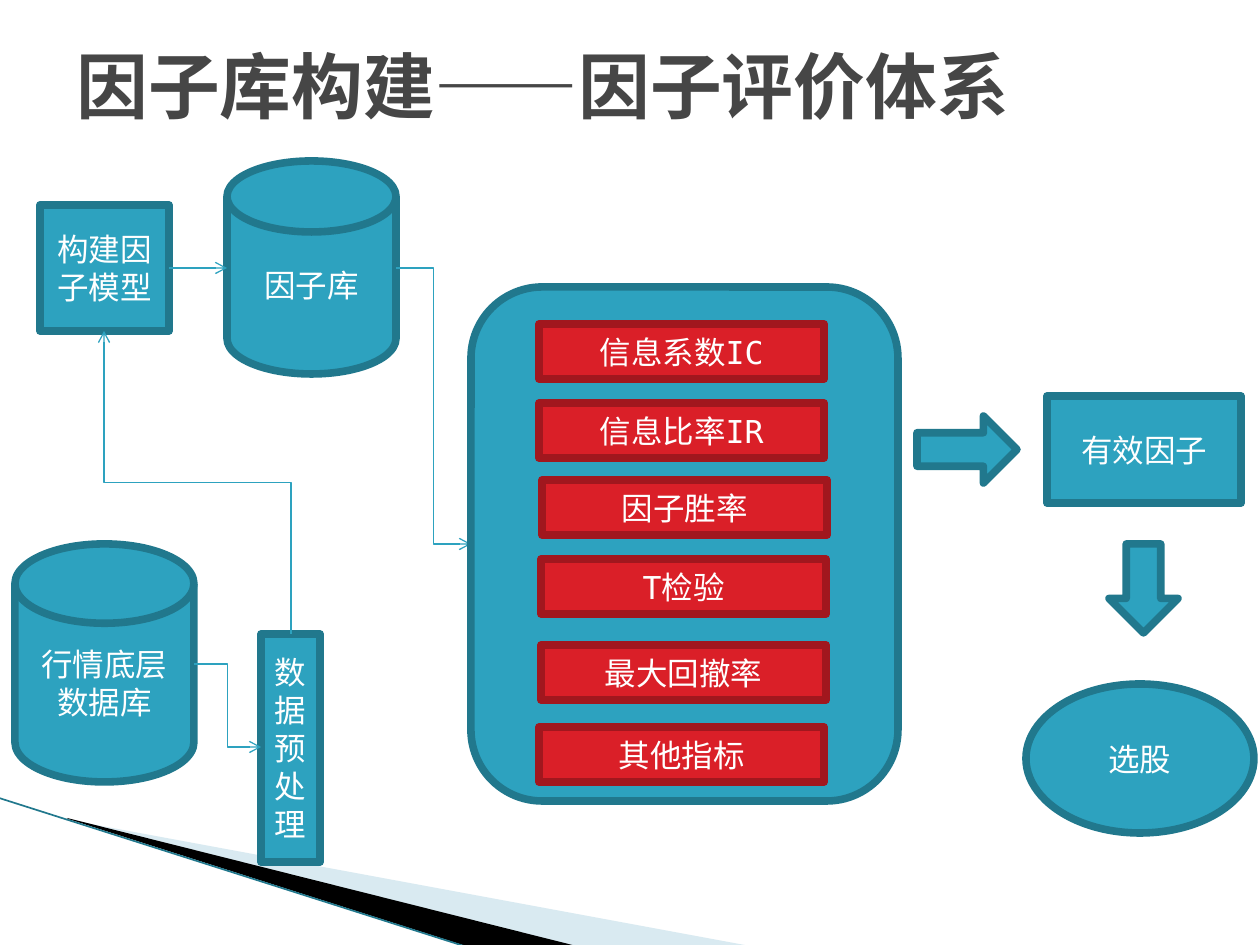
from lxml.etree import SubElement as Sub
from pptx import Presentation
from pptx.dml.color import RGBColor
from pptx.enum.shapes import MSO_CONNECTOR as Link, MSO_SHAPE as Kind
from pptx.enum.text import MSO_ANCHOR as Anchor, PP_ALIGN as Align
from pptx.oxml.ns import qn
from pptx.util import Emu, Pt

SCALE = 914400 / 126
FONT = "DejaVu Sans Mono"
TEAL, EDGE = "2DA2BF", "21788D"
RED, WINE = "DA1F28", "A1171E"
BODY = {"size": Pt(18), "bold": False, "name": FONT}
HEAD = {"size": Pt(41), "bold": True, "name": FONT}


def px(n):
    return Emu(round(n * SCALE))


def color(code):
    return RGBColor.from_string(code)


def write(shape, text, style, code, align, east=None):
    frame = shape.text_frame
    frame.word_wrap = True
    frame.vertical_anchor = Anchor.MIDDLE
    para = frame.paragraphs[0]
    para.alignment = align
    run = para.add_run()
    run.text = text
    for key, value in style.items():
        setattr(run.font, key, value)
    run.font.color.rgb = color(code)
    if east:
        Sub(run.font._element, qn("a:ea"), typeface=east)


def paint(shape, fill, edge=None):
    shape.shadow.inherit = False
    shape.fill.solid()
    shape.fill.fore_color.rgb = color(fill)
    if edge:
        shape.line.color.rgb = color(edge)
        shape.line.width = Pt(4.33)
    else:
        shape.line.fill.background()


def node(shapes, kind, box, text="", fill=TEAL, edge=EDGE):
    shape = shapes.add_shape(kind, *map(px, box))
    paint(shape, fill, edge)
    if text:
        write(shape, text, BODY, "FFFFFF", Align.CENTER, FONT)


def link(shapes, kind, start, end, code=TEAL, width=0.75, arrow=True, turn=0):
    line = shapes.add_connector(kind, *map(px, (*start, *end)))
    line.line.color.rgb = color(code)
    line.line.width = Pt(width)
    props = line._element.spPr
    if arrow:
        Sub(props.find(qn("a:ln")), qn("a:tailEnd"), type="arrow")
    if turn:
        props.find(qn("a:xfrm")).set("rot", str(turn * 60000))
    Sub(props, qn("a:effectLst"))


def wedge(shapes, points, fill, alpha=None):
    pen = shapes.build_freeform(*points[0], scale=SCALE)
    pen.add_line_segments(points[1:], close=True)
    shape = pen.convert_to_shape()
    paint(shape, fill)
    if alpha:
        tone = shape._element.spPr.find(".//" + qn("a:srgbClr"))
        Sub(tone, qn("a:alpha"), val=str(alpha * 1000))


# Swoosh along the bottom edge
def swoosh(shapes, x, y):
    def at(*points):
        return [(x + a, y + b) for a, b in points]

    wedge(shapes, at((69, 22), (750, 148), (575, 148), (69, 21)), "A0CBDC", 40)
    wedge(shapes, at((67, 20), (576, 148), (469, 149), (68, 21)), "000000")
    link(shapes, Link.STRAIGHT, *at((-1, 0), (467, 149)), EDGE, 0.95, False)


def title(shapes, box, text):
    write(shapes.add_textbox(*map(px, box)), text, HEAD, "464646", Align.LEFT)


# Data source, preparation, model and factor library
def flow(shapes, x, y):
    disk, step = Kind.FLOWCHART_MAGNETIC_DISK, Kind.FLOWCHART_PROCESS
    for kind, (a, b, w, h), text in (
        (disk, (0, 383, 179, 238), "行情底层数据库"),
        (step, (246, 473, 59, 228), "数据预处理"),
        (disk, (212, 0, 169, 213), "因子库"),
        (step, (25, 44, 129, 126), "构建因子模型"),
    ):
        node(shapes, kind, (x + a, y + b, w, h), text)
    for kind, (a, b), (c, d), turn in (
        (Link.ELBOW, (179, 503), (246, 586), 0),
        (Link.ELBOW, (31, 415), (334, 228), 270),
        (Link.STRAIGHT, (154, 107), (212, 107), 0),
        (Link.ELBOW, (381, 107), (456, 383), 0),
    ):
        link(shapes, kind, (x + a, y + b), (x + c, y + d), turn=turn)


# Panel of evaluation measures
def panel(shapes, x, y, w, h):
    group = shapes.add_group_shape().shapes
    node(group, Kind.FLOWCHART_ALTERNATE_PROCESS, (x, y, w, h))
    for a, b, text in (
        (68, 37, "信息系数IC"),
        (68, 116, "信息比率IR"),
        (71, 193, "因子胜率"),
        (70, 272, "T检验"),
        (70, 358, "最大回撤率"),
        (68, 440, "其他指标"),
    ):
        node(group, Kind.FLOWCHART_PROCESS, (x + a, y + b, 285, 55),
             text, RED, WINE)


# Valid factors and stock choice
def result(shapes, x, y):
    for kind, (a, b, w, h), text in (
        (Kind.RIGHT_ARROW, (0, 20, 100, 67), ""),
        (Kind.FLOWCHART_PROCESS, (130, 0, 194, 107), "有效因子"),
        (Kind.DOWN_ARROW, (192, 148, 69, 89), ""),
        (Kind.OVAL, (109, 288, 228, 149), "选股"),
    ):
        node(shapes, kind, (x + a, y + b, w, h), text)


deck = Presentation()
deck.slide_width, deck.slide_height = px(1260), px(945)
parts = deck.slides.add_slide(deck.slide_layouts[6]).shapes
swoosh(parts, 0, 798)
title(parts, (64, 6, 1134, 158), "因子库构建——因子评价体系")
flow(parts, 15, 161)
panel(parts, 471, 287, 427, 514)
result(parts, 917, 396)
deck.save("out.pptx")
